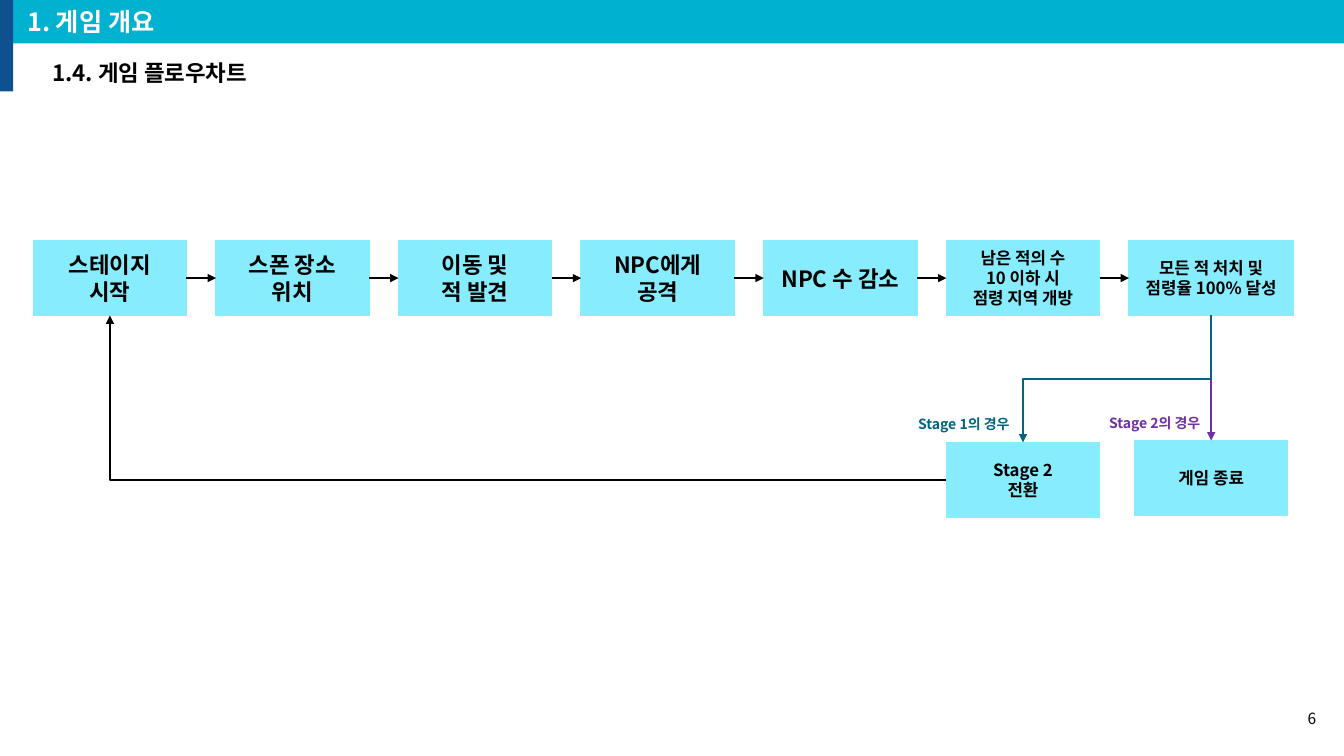
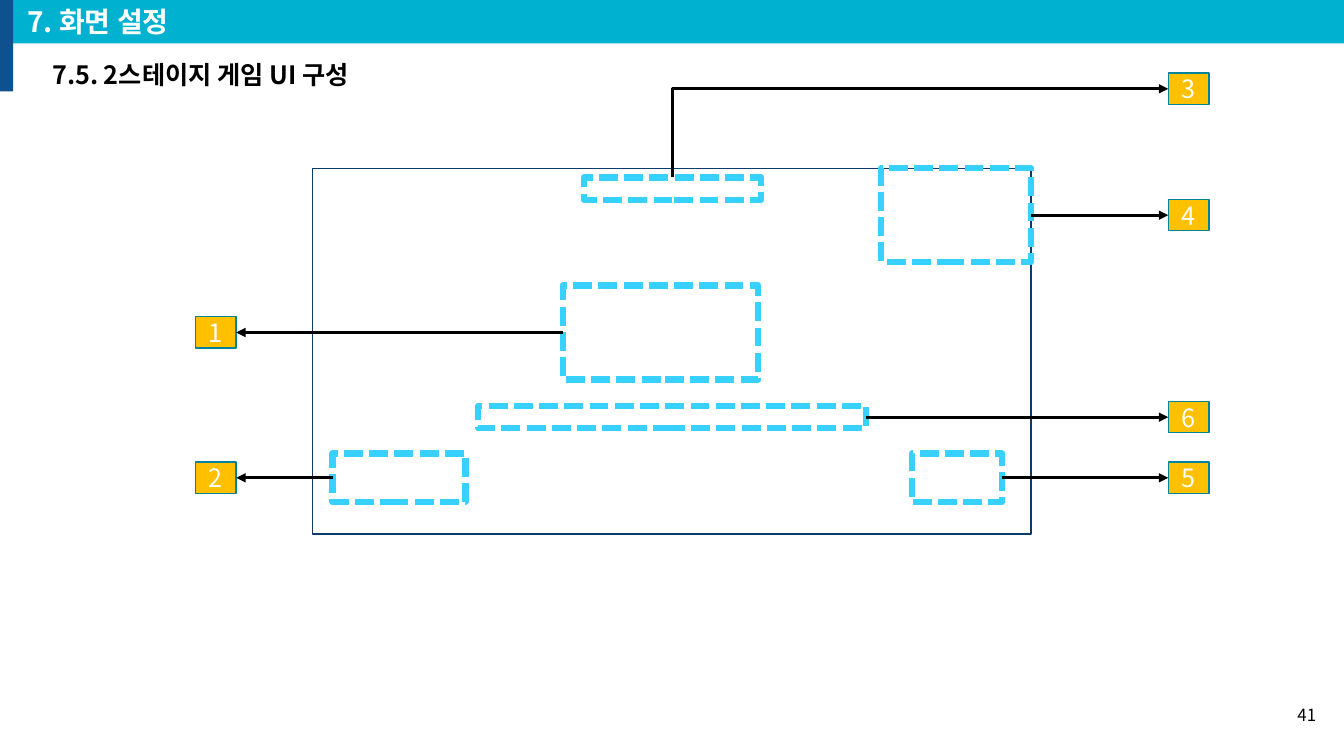
"""Build the game flowchart slide and the stage 2 screen layout slide."""
from dataclasses import dataclass

from lxml import etree
from pptx import Presentation
from pptx.dml.color import RGBColor
from pptx.enum.dml import MSO_LINE
from pptx.enum.shapes import MSO_CONNECTOR, MSO_SHAPE
from pptx.enum.text import MSO_ANCHOR, MSO_AUTO_SIZE, PP_ALIGN
from pptx.oxml.ns import qn
from pptx.shapes.autoshape import Shape
from pptx.shapes.connector import Connector
from pptx.slide import Slide
from pptx.util import Pt

RECTANGLE = MSO_SHAPE.RECTANGLE
STRAIGHT, ELBOW = MSO_CONNECTOR.STRAIGHT, MSO_CONNECTOR.ELBOW
LEFT, CENTER, RIGHT = PP_ALIGN.LEFT, PP_ALIGN.CENTER, PP_ALIGN.RIGHT
TOP, MIDDLE = MSO_ANCHOR.TOP, MSO_ANCHOR.MIDDLE
SHORT_DASH = MSO_LINE.SQUARE_DOT
TOP_SIDE, LEFT_SIDE, BOTTOM_SIDE, RIGHT_SIDE = range(4)

FONT = "Noto Sans CJK KR"
TITLE_ONLY = 5
COLORS = {
    "edge": "0F518E",
    "band": "01B1D0",
    "step": "87EDFE",
    "stage1": "026482",
    "stage2": "7030A0",
    "frame": "0B3C69",
    "region": "38D0FD",
    "badge": "FFC000",
    "badge_line": "01839A",
    "black": "000000",
    "white": "FFFFFF",
}

STEP_LEFT, STEP_TOP, STEP_PITCH = 23.8, 172, 130.44
STEP_WIDTH, STEP_HEIGHT, LAST_STEP_WIDTH = 109.4, 53.3, 117.4
STAGE_TOP, ENDING_TOP = 316, 314.6
BADGE_WIDTH, BADGE_HEIGHT = 29, 22.4
BADGE_LEFT = {LEFT_SIDE: 139.7, RIGHT_SIDE: 834.5}


@dataclass(frozen=True)
class Box:
    """Place and size in points."""
    left: float
    top: float
    width: float
    height: float

    @property
    def center(self) -> tuple[float, float]:
        """Return the middle point."""
        return self.left + self.width / 2, self.top + self.height / 2


@dataclass(frozen=True)
class Page:
    """Headings and page number with their text sizes."""
    section: str
    section_size: float
    topic: str
    topic_size: float
    number: str
    number_size: float
    number_top: float


@dataclass(frozen=True)
class Step:
    """One step of the flow."""
    text: str
    size: float


@dataclass(frozen=True)
class Callout:
    """A numbered part of the game screen."""
    number: str
    region: Box
    side: int


STEPS = (
    Step("스테이지\n시작", 16),
    Step("스폰 장소\n위치", 16),
    Step("이동 및\n적 발견", 16),
    Step("NPC에게\n공격", 16),
    Step("NPC 수 감소", 16),
    Step("남은 적의 수\n10 이하 시\n점령 지역 개방", 12),
    Step("모든 적 처치 및\n점령율 100% 달성", 12),
)
CALLOUTS = (
    Callout("1", Box(402, 204, 139.7, 67), LEFT_SIDE),
    Callout("2", Box(237.6, 324, 95, 34.6), LEFT_SIDE),
    Callout("4", Box(629.3, 120.2, 107.3, 67), RIGHT_SIDE),
    Callout("5", Box(651.6, 324, 64.4, 34.6), RIGHT_SIDE),
    Callout("6", Box(341.3, 290, 277.2, 16), RIGHT_SIDE),
)
SCORE_REGION = Box(417, 126.7, 126.7, 16)
SCORE_BADGE_Y = 63.4


def rgb(name: str) -> RGBColor:
    """Look up a colour."""
    return RGBColor.from_string(COLORS[name])


def write(shape: Shape, text: str, size: float, color: str = "black", bold: bool = True,
          align: PP_ALIGN = CENTER, anchor: MSO_ANCHOR = MIDDLE) -> None:
    """Set and format the text of a shape."""
    frame = shape.text_frame
    frame.text = text
    frame.word_wrap = True
    frame.auto_size = MSO_AUTO_SIZE.NONE
    frame.vertical_anchor = anchor
    for paragraph in frame.paragraphs:
        paragraph.alignment = align
        for run in paragraph.runs:
            font = run.font
            font.size, font.bold, font.name = Pt(size), bold, FONT
            font.color.rgb = rgb(color)
            east_asian = etree.Element(qn("a:ea"), typeface=FONT)
            run._r.rPr.find(qn("a:latin")).addnext(east_asian)


def place(box: Box) -> tuple[Pt, Pt, Pt, Pt]:
    """Turn a box into lengths."""
    return Pt(box.left), Pt(box.top), Pt(box.width), Pt(box.height)


def add_rectangle(slide: Slide, box: Box, fill: str | None, line: str | None = None,
                  weight: float = 1) -> Shape:
    """Draw a rectangle with optional fill and outline."""
    rectangle = slide.shapes.add_shape(RECTANGLE, *place(box))
    rectangle.shadow.inherit = False
    if fill:
        rectangle.fill.solid()
        rectangle.fill.fore_color.rgb = rgb(fill)
    else:
        rectangle.fill.background()
    if line:
        rectangle.line.color.rgb = rgb(line)
        rectangle.line.width = Pt(weight)
    else:
        rectangle.line.fill.background()
    return rectangle


def add_text(slide: Slide, box: Box, text: str, size: float, color: str = "black",
             bold: bool = True, align: PP_ALIGN = CENTER, anchor: MSO_ANCHOR = MIDDLE) -> None:
    """Add a text box."""
    write(slide.shapes.add_textbox(*place(box)), text, size, color, bold, align, anchor)


def style_arrow(arrow: Connector, color: str, weight: float) -> None:
    """Colour a connector and give it an arrowhead."""
    arrow.line.color.rgb = rgb(color)
    arrow.line.width = Pt(weight)
    etree.SubElement(arrow.line._get_or_add_ln(), qn("a:tailEnd"), type="triangle")
    etree.SubElement(arrow._element.spPr, qn("a:effectLst"))


def join(slide: Slide, source: Shape, source_side: int, target: Shape, target_side: int,
         color: str = "black", weight: float = 1.5) -> None:
    """Join two rectangles with a straight arrow."""
    arrow = slide.shapes.add_connector(STRAIGHT, 0, 0, 0, 0)
    arrow.begin_connect(source, source_side)
    arrow.end_connect(target, target_side)
    style_arrow(arrow, color, weight)


def add_elbow(slide: Slide, begin: tuple[float, float], end: tuple[float, float], bends: int,
              rotation: int, color: str = "black", weight: float = 1.5) -> None:
    """Draw a bent arrow whose first leg is turned clockwise by the rotation."""
    (x1, y1), (x2, y2) = begin, end
    width, height = abs(x2 - x1), abs(y2 - y1)
    if rotation % 180:
        width, height = height, width
    left, top = (x1 + x2 - width) / 2, (y1 + y2 - height) / 2
    arrow = slide.shapes.add_connector(ELBOW, Pt(left), Pt(top), Pt(left + width), Pt(top + height))
    properties = arrow._element.spPr
    properties.find(qn("a:xfrm")).set("rot", str(rotation * 60000))
    properties.find(qn("a:prstGeom")).set("prst", f"bentConnector{bends + 1}")
    style_arrow(arrow, color, weight)


def add_page(deck: Presentation, page: Page) -> Slide:
    """Add a slide with the shared heading, edge bar and page number."""
    slide = deck.slides.add_slide(deck.slide_layouts[TITLE_ONLY])
    section = slide.shapes.title
    section.left, section.top, section.width, section.height = place(Box(9.4, 0, 950.6, 31))
    section.fill.solid()
    section.fill.fore_color.rgb = rgb("band")
    write(section, page.section, page.section_size, "white", align=LEFT)
    section.text_frame.margin_left = Pt(10)
    add_rectangle(slide, Box(0, 0, 9.4, 65.3), "edge")
    add_text(slide, Box(30.2, 38.9, 300, 28.8), page.topic, page.topic_size, align=LEFT, anchor=TOP)
    add_text(slide, Box(916.2, page.number_top, 31, 28.8), page.number, page.number_size,
             bold=False, align=RIGHT)
    return slide


def add_step(slide: Slide, box: Box, step: Step) -> Shape:
    """Draw one flowchart step."""
    shape = add_rectangle(slide, box, "step", "step")
    write(shape, step.text, step.size)
    return shape


def draw_flowchart(slide: Slide) -> None:
    """Draw the row of steps, its two outcomes and the loop back."""
    boxes = [
        Box(STEP_LEFT + i * STEP_PITCH, STEP_TOP,
            LAST_STEP_WIDTH if i == len(STEPS) - 1 else STEP_WIDTH, STEP_HEIGHT)
        for i in range(len(STEPS))
    ]
    row = [add_step(slide, box, step) for box, step in zip(boxes, STEPS)]
    for source, target in zip(row, row[1:]):
        join(slide, source, RIGHT_SIDE, target, LEFT_SIDE)

    row_bottom = STEP_TOP + STEP_HEIGHT
    clear_x = boxes[-1].center[0]
    next_stage = Box(boxes[-2].left, STAGE_TOP, STEP_WIDTH, STEP_HEIGHT)
    ending_box = Box(clear_x - STEP_WIDTH / 2, ENDING_TOP, STEP_WIDTH, STEP_HEIGHT)
    add_step(slide, next_stage, Step("Stage 2\n전환", 12))
    ending = add_step(slide, ending_box, Step("게임 종료", 12))
    join(slide, row[-1], BOTTOM_SIDE, ending, TOP_SIDE, "stage2")
    add_elbow(slide, (clear_x, row_bottom), (next_stage.center[0], STAGE_TOP), 2, 90, "stage1")
    add_elbow(slide, (next_stage.left, next_stage.center[1]), (boxes[0].center[0], row_bottom), 1, 180)
    add_text(slide, Box(639.4, 289.4, 98, 27.4), "Stage 1의 경우", 10, "stage1")
    add_text(slide, Box(777.6, 288.7, 94.3, 27.4), "Stage 2의 경우", 10, "stage2")


def add_region(slide: Slide, box: Box) -> Shape:
    """Outline a part of the game screen."""
    region = add_rectangle(slide, box, None, "region", 4.5)
    region.line.dash_style = SHORT_DASH
    return region


def add_badge(slide: Slide, number: str, side: int, middle: float) -> Shape:
    """Draw a numbered badge beside the screen."""
    box = Box(BADGE_LEFT[side], middle - BADGE_HEIGHT / 2, BADGE_WIDTH, BADGE_HEIGHT)
    badge = add_rectangle(slide, box, "badge", "badge_line")
    write(badge, number, 18, "white", bold=False)
    return badge


def draw_screen(slide: Slide) -> None:
    """Draw the game screen with its numbered regions."""
    add_rectangle(slide, Box(223.2, 120.2, 513.4, 261.4), "white", "frame")
    for callout in CALLOUTS:
        region = add_region(slide, callout.region)
        badge = add_badge(slide, callout.number, callout.side, callout.region.center[1])
        facing = RIGHT_SIDE if callout.side == LEFT_SIDE else LEFT_SIDE
        join(slide, region, callout.side, badge, facing, weight=2.25)
    add_region(slide, SCORE_REGION)
    add_badge(slide, "3", RIGHT_SIDE, SCORE_BADGE_Y)
    add_elbow(slide, (SCORE_REGION.center[0], SCORE_REGION.top),
              (BADGE_LEFT[RIGHT_SIDE], SCORE_BADGE_Y), 1, 270, weight=2.25)


def main() -> None:
    """Build and save the deck."""
    deck = Presentation()
    deck.slide_width, deck.slide_height = Pt(960), Pt(540)
    draw_flowchart(add_page(deck, Page("1. 게임 개요", 18, "1.4. 게임 플로우차트", 16, "6", 11, 499)))
    draw_screen(add_page(deck, Page("7. 화면 설정", 20, "7.5. 2스테이지 게임 UI 구성", 18, "41", 12, 496)))
    deck.save("out.pptx")


if __name__ == "__main__":
    main()
